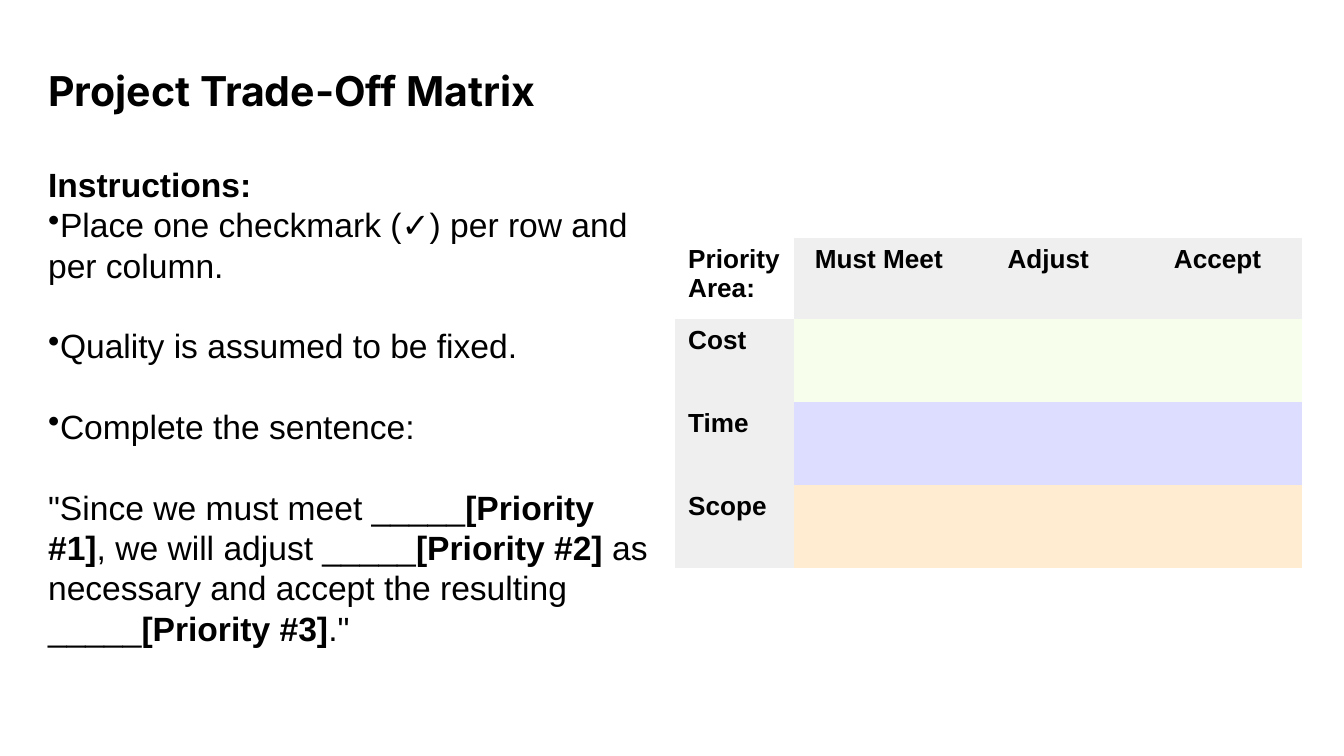
"""Build the Project Trade-Off Matrix slide."""
import pptx
import pptx.dml.color
import pptx.enum.text
import pptx.oxml.ns
import pptx.util
from lxml import etree

Inches = pptx.util.Inches
Pt = pptx.util.Pt
COLORS = {
    "text": "000000",
    "header": "EFEFEF",
    "Cost": "F7FEEB",
    "Time": "DDDDFF",
    "Scope": "FFECD1",
}
FORMATS = {
    "title": {"name": "Inter", "size": Pt(22), "bold": True},
    "body": {"name": "Arial", "size": Pt(18), "bold": False},
    "strong": {"name": "Arial", "size": Pt(18), "bold": True},
    "table": {"name": "Arial", "size": Pt(14), "bold": True},
}
NO_STYLE_NO_GRID = "{2D5ABB26-0587-4C30-8999-92F81FD0307C}"


def add_run(paragraph, text, style):
    run = paragraph.add_run()
    run.text = text
    for attribute, value in FORMATS[style].items():
        setattr(run.font, attribute, value)
    run.font.color.rgb = pptx.dml.color.RGBColor.from_string(COLORS["text"])


def fill_cell(cell, color):
    cell.fill.solid()
    cell.fill.fore_color.rgb = pptx.dml.color.RGBColor.from_string(COLORS[color])


presentation = pptx.Presentation()
presentation.slide_width = Inches(10)
presentation.slide_height = Inches(10 * 9 / 16)
slide = presentation.slides.add_slide(presentation.slide_layouts[5])

title = slide.shapes.title
title.left, title.top, title.width, title.height = map(Inches, (0.26, 0.44, 7.85, 1.21))
title.text_frame.vertical_anchor = pptx.enum.text.MSO_ANCHOR.TOP
title.text_frame.word_wrap = True
title_paragraph = title.text_frame.paragraphs[0]
title_paragraph.alignment = pptx.enum.text.PP_ALIGN.LEFT
add_run(title_paragraph, "Project Trade-Off Matrix", "title")

instructions = [
    (False, 0, [("Instructions:", "strong")]),
    (True, 0, [("Place one checkmark (✓) per row and per column.", "body")]),
    (True, 21.6, [("Quality is assumed to be fixed.", "body")]),
    (True, 21.6, [("Complete the sentence:", "body")]),
    (False, 21.6, [
        ('"Since we must meet _____', "body"),
        ("[Priority #1]", "strong"),
        (", we will adjust _____", "body"),
        ("[Priority #2]", "strong"),
        (" as necessary and accept the resulting _____", "body"),
        ("[Priority #3]", "strong"),
        ('."', "body"),
    ]),
]
text_box = slide.shapes.add_textbox(Inches(0.26), Inches(1.15), Inches(4.67), Inches(4.04))
text_frame = text_box.text_frame
text_frame.word_wrap = True
text_frame.margin_top = Inches(0.07)
for index, (bulleted, space_before, runs) in enumerate(instructions):
    paragraph = text_frame.add_paragraph() if index else text_frame.paragraphs[0]
    paragraph.space_before = Pt(space_before)
    if bulleted:
        properties = paragraph._p.get_or_add_pPr()
        properties.set("marL", "0")
        properties.set("indent", "0")
        etree.SubElement(properties, pptx.oxml.ns.qn("a:buChar"), char="•")
    for text, style in runs:
        add_run(paragraph, text, style)

headings = ["Priority Area:", "Must Meet", "Adjust", "Accept"]
areas = ["Cost", "Time", "Scope"]
table_frame = slide.shapes.add_table(
    len(areas) + 1, len(headings), Inches(5.02), Inches(1.77), Inches(4.67), Inches(2.46)
)
table = table_frame.table
table.first_row = False
table.horz_banding = False
table._tbl.tblPr.find(pptx.oxml.ns.qn("a:tableStyleId")).text = NO_STYLE_NO_GRID
for index, column in enumerate(table.columns):
    column.width = Inches(1.26 if index else 0.89)
for index, row in enumerate(table.rows):
    row.height = Inches(0.62 if index else 0.6)

for column_index, heading in enumerate(headings):
    cell = table.cell(0, column_index)
    paragraph = cell.text_frame.paragraphs[0]
    add_run(paragraph, heading, "table")
    if column_index:
        paragraph.alignment = pptx.enum.text.PP_ALIGN.CENTER
        fill_cell(cell, "header")
    else:
        cell.fill.background()

for row_index, area in enumerate(areas, start=1):
    add_run(table.cell(row_index, 0).text_frame.paragraphs[0], area, "table")
    for column_index in range(len(headings)):
        fill_cell(table.cell(row_index, column_index), area if column_index else "header")

presentation.save("out.pptx")
